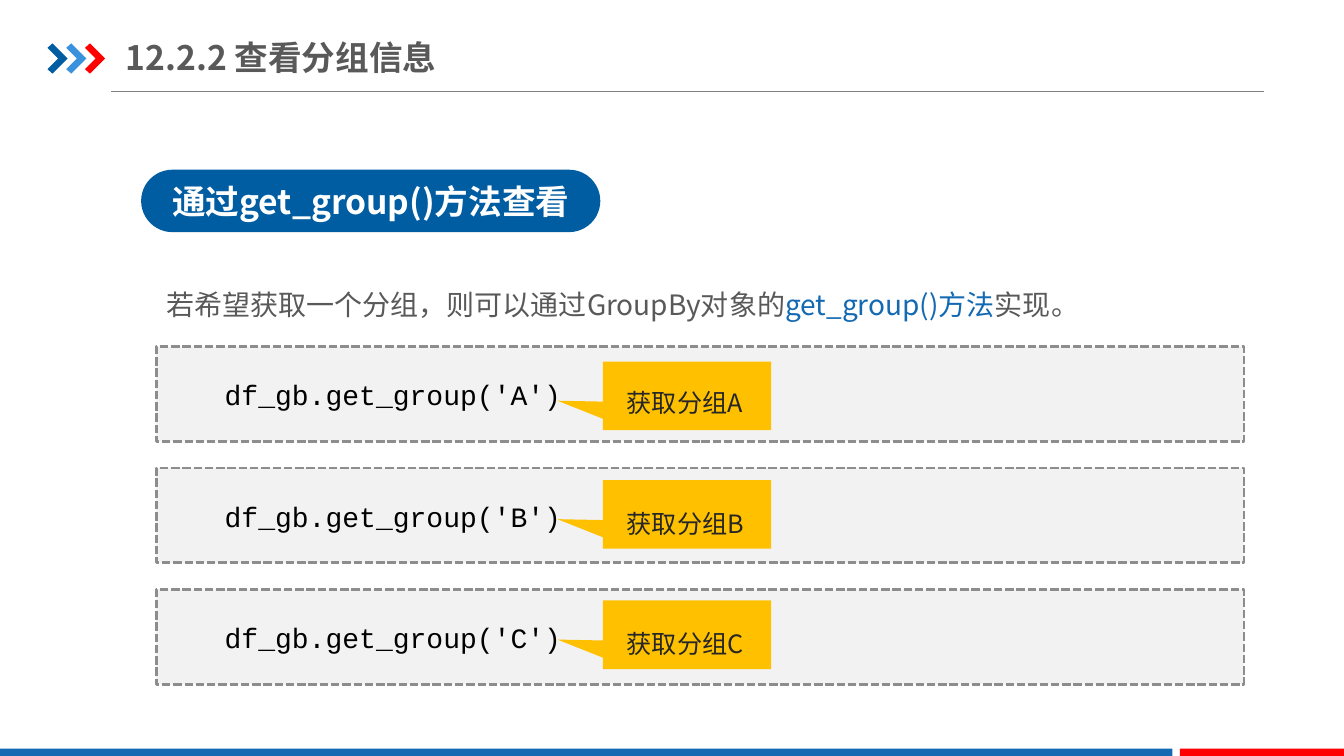
import pptx
import pptx.util
import pptx.dml.color
import pptx.enum.dml
import pptx.enum.shapes
import pptx.enum.text
import pptx.oxml
import pptx.oxml.ns

Pt = pptx.util.Pt
SHAPE = pptx.enum.shapes.MSO_SHAPE
ALIGN = pptx.enum.text.PP_ALIGN
MIDDLE = pptx.enum.text.MSO_ANCHOR.MIDDLE

SANS, MONO = "Noto Sans CJK SC", "Courier New"
NAVY, BLUE, RED, GREY = "005DA2", "1369B2", "FF0000", "595959"

TITLE = "12.2.2 查看分组信息"
HEADING = "通过get_group()方法查看"
INTRO = [
    ("若希望获取一个分组，则可以通过GroupBy对象的", GREY),
    ("get_group()方法", BLUE),
    ("实现。", GREY),
]
GROUPS = [("A", 258.3, 262.2), ("B", 342.9, 349.1), ("C", 428.9, 434.7)]
ROW_TOP, ROW_PITCH = 247.6, 86.7
CHEVRON_COLORS = [NAVY, "3992DB", RED]
CHEVRON = [(0, 3.2), (3.6, 0), (14.4, 10.8), (3.6, 21.6), (0, 18.4), (7.6, 10.8)]
CHEVRON_LEFT, CHEVRON_TOP, CHEVRON_PITCH = 33.9, 31, 13.4
FOOTER = [(0, 837.4, BLUE), (842.8, 117.2, RED)]


def rgb(value):
    return pptx.dml.color.RGBColor.from_string(value)


def style(para, size, face, color=None, bold=False):
    para.font.size = Pt(size)
    para.font.name = face
    para.font.bold = bold
    if color:
        para.font.color.rgb = rgb(color)
    properties = para._p.pPr.find(pptx.oxml.ns.qn("a:defRPr"))
    east_asian = pptx.oxml.parse_xml(
        f'<a:ea {pptx.oxml.ns.nsdecls("a")} typeface="{face}"/>'
    )
    properties.append(east_asian)


def paint(shape, color):
    shape.shadow.inherit = False
    shape.fill.solid()
    shape.fill.fore_color.rgb = rgb(color)
    shape.line.fill.background()
    return shape


def add_block(page, kind, left, top, width, height, color):
    shape = page.shapes.add_shape(kind, Pt(left), Pt(top), Pt(width), Pt(height))
    return paint(shape, color)


def add_text(page, left, top, width, height, spans, size, face, spacing=1.0):
    box = page.shapes.add_textbox(Pt(left), Pt(top), Pt(width), Pt(height))
    box.text_frame.word_wrap = True
    para = box.text_frame.paragraphs[0]
    para.line_spacing = spacing
    for text, color in spans:
        span = para.add_run()
        span.text = text
        if len(spans) > 1:
            span.font.color.rgb = rgb(color)
    style(para, size, face, spans[0][1] if len(spans) == 1 else None)


def add_header(page):
    rule = page.shapes.add_connector(
        pptx.enum.shapes.MSO_CONNECTOR.STRAIGHT, Pt(79.2), Pt(65.4), Pt(903), Pt(65.4)
    )
    rule.line.color.rgb = rgb("808080")
    rule.line.width = Pt(0.75)
    rule._element.spPr.append(
        pptx.oxml.parse_xml(f'<a:effectLst {pptx.oxml.ns.nsdecls("a")}/>')
    )
    for index, color in enumerate(CHEVRON_COLORS):
        left = CHEVRON_LEFT + index * CHEVRON_PITCH
        points = [(Pt(left + x), Pt(CHEVRON_TOP + y)) for x, y in CHEVRON]
        builder = page.shapes.build_freeform(*points[0])
        builder.add_line_segments(points[1:], close=True)
        paint(builder.convert_to_shape(), color)

    title = page.shapes.title
    title.left, title.top, title.width, title.height = Pt(90), Pt(21), Pt(327.6), Pt(39.6)
    frame = title.text_frame
    frame.auto_size = pptx.enum.text.MSO_AUTO_SIZE.NONE
    frame.margin_left = frame.margin_right = 0
    frame.margin_top = frame.margin_bottom = Pt(5)
    frame.vertical_anchor = MIDDLE
    frame.text = TITLE
    frame.paragraphs[0].alignment = ALIGN.LEFT
    style(frame.paragraphs[0], 24, SANS, GREY, True)


def add_heading(page):
    pill = add_block(page, SHAPE.ROUNDED_RECTANGLE, 100.8, 121.2, 328, 44.6, NAVY)
    pill.adjustments[0] = 0.5
    frame = pill.text_frame
    frame.vertical_anchor = MIDDLE
    frame.text = HEADING
    frame.paragraphs[0].alignment = ALIGN.CENTER
    style(frame.paragraphs[0], 24, SANS, "FFFFFF", True)


def add_group(page, row_top, name, callout_top, label_top):
    panel = add_block(page, SHAPE.RECTANGLE, 111.6, row_top, 777, 67.8, "F2F2F2")
    panel.line.color.rgb = rgb("8D8D8D")
    panel.line.width = Pt(2)
    panel.line.dash_style = pptx.enum.dml.MSO_LINE.SQUARE_DOT
    code = [(f"df_gb.get_group('{name}')", "000000")]
    add_text(page, 153.4, row_top + 18.8, 693.4, 31.5, code, 20, MONO)
    callout = add_block(
        page, SHAPE.RECTANGULAR_CALLOUT, 430.6, callout_top, 120.2, 49, "FFC000"
    )
    callout.adjustments[0], callout.adjustments[1] = -0.77, 0.07
    label = [(f"获取分组{name}", "262626")]
    add_text(page, 440.6, label_top, 110.2, 36, label, 18, SANS, 1.5)


def main():
    deck = pptx.Presentation()
    deck.slide_width, deck.slide_height = Pt(960), Pt(540)
    page = deck.slides.add_slide(deck.slide_layouts[5])
    add_header(page)
    for left, width, color in FOOTER:
        add_block(page, SHAPE.RECTANGLE, left, 534.8, width, 5.2, color)
    add_text(page, 111.6, 190.1, 777, 43.9, INTRO, 20, SANS, 1.5)
    add_heading(page)
    for index, group in enumerate(GROUPS):
        add_group(page, ROW_TOP + index * ROW_PITCH, *group)
    deck.save("out.pptx")


if __name__ == "__main__":
    main()
